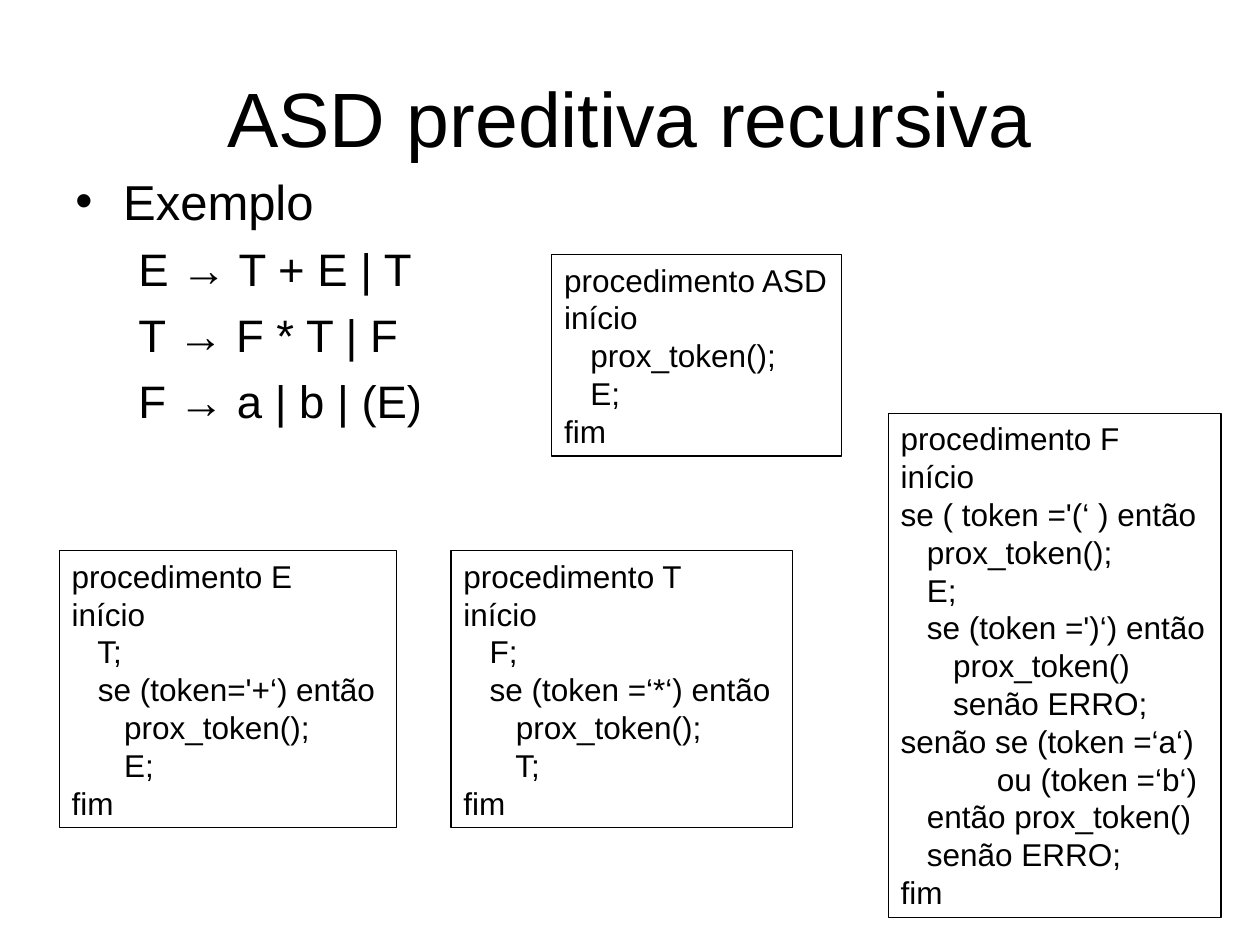
from dataclasses import dataclass

from lxml.etree import SubElement as Sub
from pptx import Presentation
from pptx.dml.color import RGBColor as Rgb
from pptx.enum.shapes import MSO_SHAPE as Kind
from pptx.enum.text import MSO_ANCHOR as Anchor, MSO_AUTO_SIZE as Fit, PP_ALIGN as Align
from pptx.oxml.ns import qn
from pptx.util import Inches, Pt

COLS, ROWS = 100, 75


@dataclass(frozen=True)
class Theme:
    face: str = "Arial"
    ink: Rgb = Rgb(0, 0, 0)
    head: float = 44
    lead: float = 28
    rule: float = 26
    code: float = 18
    edge: float = 0.75


@dataclass(frozen=True)
class Area:
    col: float
    row: float
    wide: float
    high: float


@dataclass(frozen=True)
class Proc:
    area: Area
    code: str


LOOK = Theme()
TITLE = Area(5, 3, 90, 12.5)
BODY = Area(5, 13.1, 90, 49.5)
LEAD = "Exemplo"
RULES = ("E → T + E | T", "T → F * T | F", "F → a | b | (E)")
PROCS = (
    Proc(Area(43.8, 20.2, 23, 16), """procedimento ASD
início
   prox_token();
   E;
fim"""),
    Proc(Area(4.7, 43.7, 26.8, 22), """procedimento E
início
   T;
   se (token='+‘) então
      prox_token();
      E;
fim"""),
    Proc(Area(35.8, 43.7, 27.1, 22), """procedimento T
início
   F;
   se (token =‘*‘) então
      prox_token();
      T;
fim"""),
    Proc(Area(70.5, 32.8, 26.4, 40), """procedimento F
início
se ( token ='(‘ ) então
   prox_token();
   E;
   se (token =')‘) então
      prox_token()
      senão ERRO;
senão se (token =‘a‘)
           ou (token =‘b‘)
   então prox_token()
   senão ERRO;
fim"""),
)

deck = Presentation()
deck.slide_width, deck.slide_height = Inches(10), Inches(7.5)


def apply(item, form: dict) -> None:
    for name, value in form.items():
        setattr(item, name, value)


def place(area: Area) -> dict:
    wide, high = deck.slide_width / COLS, deck.slide_height / ROWS
    return {
        "left": round(area.col * wide),
        "top": round(area.row * high),
        "width": round(area.wide * wide),
        "height": round(area.high * high),
    }


def write(para, text: str, size: float, align=Align.LEFT) -> None:
    para.alignment = align
    run = para.add_run()
    run.text = text
    apply(run.font, {"name": LOOK.face, "size": Pt(size)})
    run.font.color.rgb = LOOK.ink


def indent(para, left: float, hang: float, mark: str = "") -> None:
    props = para._p.get_or_add_pPr()
    props.set("marL", str(Inches(left)))
    props.set("indent", str(-Inches(hang)))
    if mark:
        Sub(props, qn("a:buFont")).set("typeface", LOOK.face)
        Sub(props, qn("a:buChar")).set("char", mark)
    else:
        Sub(props, qn("a:buNone"))


def draw_title(slide, text: str) -> None:
    title = slide.shapes.title
    apply(title, place(TITLE))
    apply(title.text_frame, {"vertical_anchor": Anchor.MIDDLE, "word_wrap": True})
    write(title.text_frame.paragraphs[0], text, LOOK.head, Align.CENTER)


def draw_body(slide) -> None:
    frame = slide.shapes.add_textbox(**place(BODY)).text_frame
    frame.word_wrap = True
    first = frame.paragraphs[0]
    indent(first, 0.38, 0.38, "•")
    write(first, LEAD, LOOK.lead)
    for text in RULES:
        para = frame.add_paragraph()
        apply(para, {"level": 1, "space_before": Pt(6.5)})
        indent(para, 0.81, 0.31)
        write(para, text, LOOK.rule)


def draw_proc(slide, proc: Proc) -> None:
    box = slide.shapes.add_shape(Kind.RECTANGLE, **place(proc.area))
    box.shadow.inherit = False
    box.fill.background()
    box.line.color.rgb = LOOK.ink
    box.line.width = Pt(LOOK.edge)
    frame = box.text_frame
    apply(frame, {
        "word_wrap": False,
        "auto_size": Fit.SHAPE_TO_FIT_TEXT,
        "vertical_anchor": Anchor.TOP,
    })
    for step, text in enumerate(proc.code.split("\n")):
        para = frame.add_paragraph() if step else frame.paragraphs[0]
        write(para, text, LOOK.code)


def main() -> None:
    slide = deck.slides.add_slide(deck.slide_layouts.get_by_name("Title Only"))
    draw_title(slide, "ASD preditiva recursiva")
    draw_body(slide)
    for proc in PROCS:
        draw_proc(slide, proc)
    deck.save("out.pptx")


if __name__ == "__main__":
    main()
